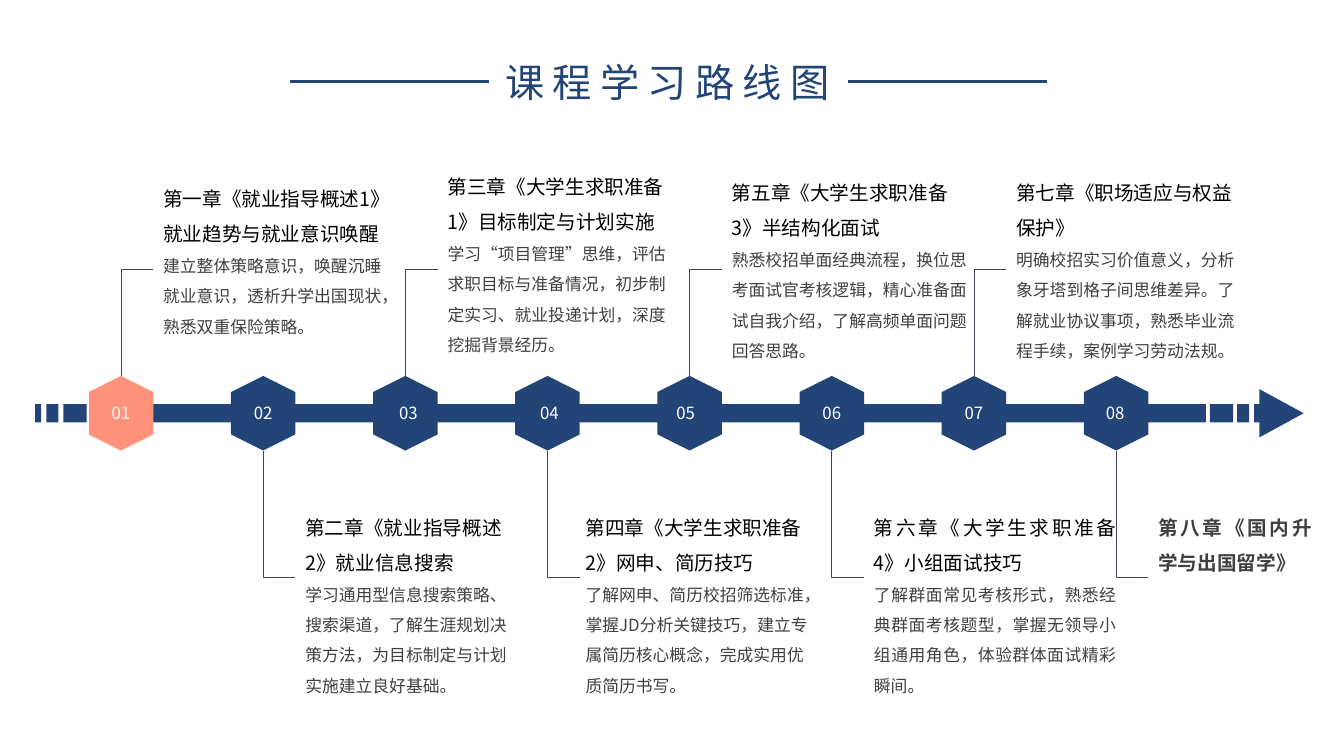
import pptx
import pptx.util
import pptx.dml.color
import pptx.enum.shapes
import pptx.enum.text
import pptx.oxml.ns
from lxml import etree

Inches, Pt = pptx.util.Inches, pptx.util.Pt
SHAPE = pptx.enum.shapes.MSO_SHAPE
CONNECTOR = pptx.enum.shapes.MSO_CONNECTOR
ALIGN = pptx.enum.text.PP_ALIGN
ANCHOR = pptx.enum.text.MSO_ANCHOR
qn = pptx.oxml.ns.qn

FONT = "Noto Sans CJK SC"
NAVY, CORAL, GREY, BLACK, WHITE = "224477", "FF927A", "404040", "000000", "FFFFFF"
ELBOW = "414455"

TITLE = "课程学习路线图"
# Number's centre shift, text box (left, top, width, height), heading, description
CHAPTERS = [
    (0, (1.52, 1.69, 2.5, 1.6), "第一章《就业指导概述1》就业趋势与就业意识唤醒",
     "建立整体策略意识，唤醒沉睡就业意识，透析升学出国现状，熟悉双重保险策略。"),
    (0, (2.93, 4.95, 2.35, 2.1), "第二章《就业指导概述2》就业信息搜索",
     "学习通用型信息搜索策略、搜索渠道，了解生涯规划决策方法，为目标制定与计划实施建立良好基础。"),
    (0.03, (4.34, 1.57, 2.45, 2.37), "第三章《大学生求职准备1》目标制定与计划实施",
     "学习“项目管理”思维，评估求职目标与准备情况，初步制定实习、就业投递计划，深度挖掘背景经历。"),
    (0.02, (5.71, 4.95, 2.47, 2.1), "第四章《大学生求职准备2》网申、简历技巧",
     "了解网申、简历校招筛选标准，掌握JD分析关键技巧，建立专属简历核心概念，完成实用优质简历书写。"),
    (-0.04, (7.16, 1.63, 2.57, 1.95), "第五章《大学生求职准备3》半结构化面试",
     "熟悉校招单面经典流程，换位思考面试官考核逻辑，精心准备面试自我介绍，了解高频单面问题回答思路。"),
    (0, (8.57, 4.95, 2.6, 2.1), "第六章《大学生求职准备4》小组面试技巧",
     "了解群面常见考核形式，熟悉经典群面考核题型，掌握无领导小组通用角色，体验群体面试精彩瞬间。"),
    (0, (9.98, 1.63, 2.42, 1.95), "第七章《职场适应与权益保护》",
     "明确校招实习价值意义，分析象牙塔到格子间思维差异。了解就业协议事项，熟悉毕业流程手续，案例学习劳动法规。"),
    (-0.01, (11.39, 4.95, 1.72, 2.1), "第八章《国内升学与出国留学》", ""),
]
JUSTIFIED = (6, 8)
# Left and width of each piece of the timeline bar
BAR = [(0.35, 0.06), (0.46, 0.12), (0.63, 0.23), (0.91, 11.05),
       (12, 0.23), (12.27, 0.12), (12.44, 0.06)]
FIRST_X, STEP, AXIS_Y = 1.2, 1.41, 4.1
HEX_W, HEX_H = 0.74, 0.64


def rgb(color):
    return pptx.dml.color.RGBColor.from_string(color)


def style(p, text, size, color, bold=False):
    r = p.add_run()
    r.text = text
    p.font.name, p.font.size, p.font.bold = FONT, Pt(size), bold
    p.font.color.rgb = rgb(color)
    etree.SubElement(r._r.get_or_add_rPr(), qn("a:ea")).set("typeface", FONT)
    return r


def add_shape(kind, box, color, rotation=0):
    sp = slide.shapes.add_shape(kind, *map(Inches, box))
    sp.shadow.inherit = False
    sp.fill.solid()
    sp.fill.fore_color.rgb = rgb(color)
    sp.line.fill.background()
    sp.rotation = rotation


def add_line(kind, start, end, color, width):
    line = slide.shapes.add_connector(kind, *map(Inches, start + end))
    line.line.color.rgb = rgb(color)
    line.line.width = Pt(width)
    etree.SubElement(line._element.spPr, qn("a:effectLst"))
    return line


def add_text(box):
    tf = slide.shapes.add_textbox(*map(Inches, box)).text_frame
    tf.word_wrap = True
    return tf


prs = pptx.Presentation()
prs.slide_width, prs.slide_height = Inches(13.33), Inches(7.5)
slide = prs.slides.add_slide(prs.slide_layouts[5])

# Title between two rules
title = slide.shapes.title
title.left, title.top, title.width, title.height = map(Inches, (4.91, 0.53, 3.51, 0.57))
tf = title.text_frame
tf.word_wrap = False
tf.vertical_anchor = ANCHOR.MIDDLE
p = tf.paragraphs[0]
p.alignment = ALIGN.LEFT
r = style(p, TITLE, 28, NAVY)
r._r.get_or_add_rPr().set("spc", "600")
for left in (2.88, 8.41):
    add_line(CONNECTOR.STRAIGHT, (left, 0.81), (left + 1.97, 0.81), NAVY, 2.25)

# Timeline bar and arrowhead
for left, width in BAR:
    add_shape(SHAPE.RECTANGLE, (left, AXIS_Y - 0.09, width, 0.18), NAVY)
add_shape(SHAPE.ISOSCELES_TRIANGLE, (12.47, AXIS_Y - 0.22, 0.48, 0.44), NAVY, 90)

# Chapters: odd ones above the bar, even ones below
for i, (shift, box, heading, description) in enumerate(CHAPTERS):
    number = i + 1
    x = FIRST_X + i * STEP
    text_y, hex_y = (2.67, 3.73) if number % 2 else (5.73, 4.47)

    elbow = add_line(CONNECTOR.ELBOW, (x + 0.32, text_y), (x, hex_y), ELBOW, 0.5)
    elbow._element.spPr.find(qn("a:prstGeom")).set("prst", "bentConnector2")

    add_shape(SHAPE.HEXAGON, (x - HEX_W / 2, AXIS_Y - HEX_H / 2, HEX_W, HEX_H),
              CORAL if number == 1 else NAVY, 90)
    p = add_text((x + shift - 0.39, 3.95, 0.78, 0.3)).paragraphs[0]
    p.alignment = ALIGN.CENTER
    style(p, f"{number:02}", 12, WHITE)

    tf = add_text(box)
    p = tf.paragraphs[0]
    style(p, heading, 14, BLACK if description else GREY, bold=not description)
    if description:
        style(tf.add_paragraph(), description, 12, GREY)
    for p in tf.paragraphs:
        p.line_spacing = 1.5
        p.alignment = ALIGN.JUSTIFY if number in JUSTIFIED else ALIGN.LEFT

prs.save("out.pptx")
